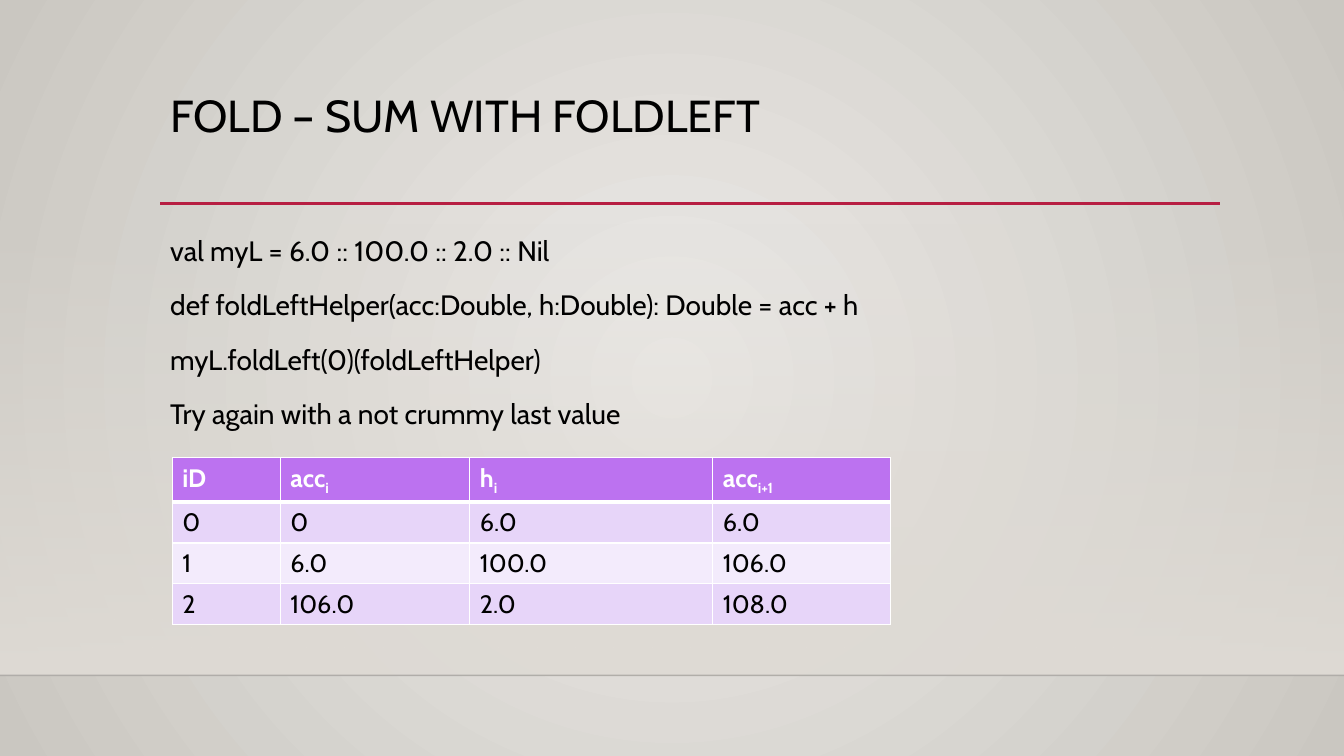
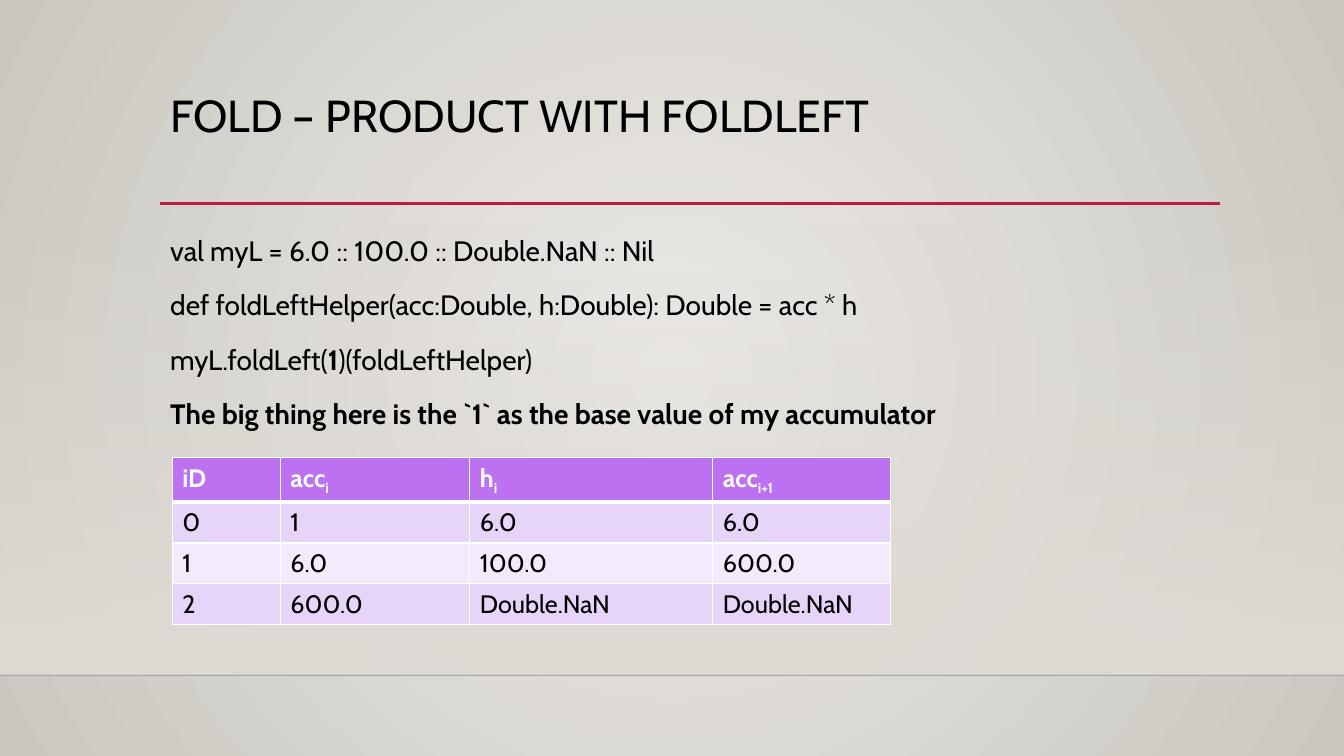
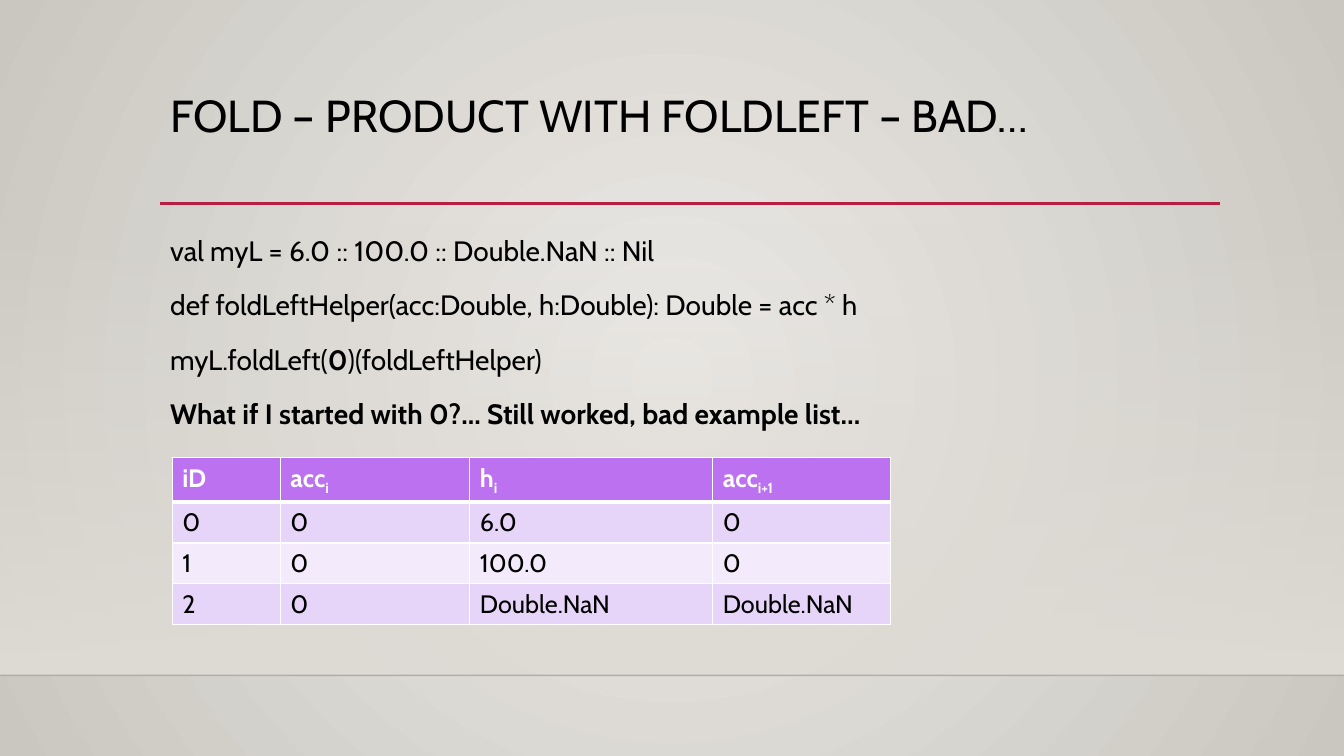
from dataclasses import dataclass

from lxml.etree import SubElement
from pptx import Presentation
from pptx.dml.color import RGBColor
from pptx.enum.shapes import MSO_CONNECTOR, MSO_SHAPE
from pptx.oxml.ns import qn
from pptx.util import Inches, Pt


@dataclass(frozen=True)
class Theme:
    font: str = "Cabin"
    ink: str = "000000"
    white: str = "FFFFFF"
    accent: str = "B71E42"
    edge: str = "000001"
    glow: str = "ECEAE7"
    rim: str = "CAC7C1"
    wall: str = "DFDBD5"
    header: str = "BC72F0"
    bands: tuple = ("E7D5F9", "F3EBFC")
    title: int = 32
    body: int = 20
    cell: int = 18


THEME = Theme()
WIDTH, HEIGHT = 13.33, 7.5
FLOOR = 6.7
LEFT = 1.59
COLS = (1.07, 1.88, 2.41, 1.76)
HEADS = (("iD", ""), ("acc", "i"), ("h", "i"), ("acc", "i+1"))

SLIDES = [
    (
        "FOLD – SUM WITH FOLDLEFT",
        [
            "val myL = 6.0 :: 100.0 :: 2.0 :: Nil",
            "def foldLeftHelper(acc:Double, h:Double): Double = acc + h",
            "myL.foldLeft(0)(foldLeftHelper)",
            "Try again with a not crummy last value",
        ],
        [("0", "0", "6.0", "6.0"),
         ("1", "6.0", "100.0", "106.0"),
         ("2", "106.0", "2.0", "108.0")],
    ),
    (
        "FOLD – PRODUCT WITH FOLDLEFT",
        [
            "val myL = 6.0 :: 100.0 :: Double.NaN :: Nil",
            "def foldLeftHelper(acc:Double, h:Double): Double = acc * h",
            "myL.foldLeft(**1**)(foldLeftHelper)",
            "**The big thing here is the `1` as the base value of my accumulator**",
        ],
        [("0", "1", "6.0", "6.0"),
         ("1", "6.0", "100.0", "600.0"),
         ("2", "600.0", "Double.NaN", "Double.NaN")],
    ),
    (
        "FOLD – PRODUCT WITH FOLDLEFT – BAD…",
        [
            "val myL = 6.0 :: 100.0 :: Double.NaN :: Nil",
            "def foldLeftHelper(acc:Double, h:Double): Double = acc * h",
            "myL.foldLeft(**0**)(foldLeftHelper)",
            "**What if I started with 0?... Still worked, bad example list…**",
        ],
        [("0", "0", "6.0", "0"),
         ("1", "0", "100.0", "0"),
         ("2", "0", "Double.NaN", "Double.NaN")],
    ),
]


def rgb(color):
    return RGBColor.from_string(color)


def fade(color, percent):
    """Set the opacity of a colour element."""
    SubElement(color, qn("a:alpha")).set("val", str(percent * 1000))


def blend(fill, colors):
    """Fill with a gradient running from the first colour to the last."""
    fill.gradient()
    for stop, color in zip(fill.gradient_stops, colors):
        stop.color.rgb = rgb(color)


def add_run(par, text, size, color, bold=False, sub=False):
    run = par.add_run()
    run.text = text
    for key, value in {"name": THEME.font, "size": Pt(size), "bold": bold}.items():
        setattr(run.font, key, value)
    run.font.color.rgb = rgb(color)
    if sub:
        run._r.get_or_add_rPr().set("baseline", "-25000")


def add_text(slide, box, lines, size, form):
    """Add one paragraph per line; text between ** marks is bold."""
    frame = slide.shapes.add_textbox(*map(Inches, box)).text_frame
    frame.word_wrap = True
    for index, line in enumerate(lines):
        par = frame.add_paragraph() if index else frame.paragraphs[0]
        for key, value in form.items():
            setattr(par, key, value)
        for part, text in enumerate(line.split("**")):
            if text:
                add_run(par, text, size, THEME.ink, bold=part % 2 == 1)


def add_line(slide, left, right, top, color, width):
    line = slide.shapes.add_connector(
        MSO_CONNECTOR.STRAIGHT, *map(Inches, (left, top, right, top)))
    line.line.color.rgb = rgb(color)
    line.line.width = Pt(width)
    SubElement(line.element.spPr, qn("a:effectLst"))
    return line


def set_back(master):
    """Give every slide a round gradient that spreads from the centre."""
    blend(master.background.fill, (THEME.glow, THEME.rim))
    grad = master.element.find(".//" + qn("a:gradFill"))
    grad.remove(grad.find(qn("a:lin")))
    ring = SubElement(grad, qn("a:path"), {"path": "circle"})
    SubElement(ring, qn("a:fillToRect"), dict.fromkeys("ltrb", "50000"))


def add_frame(slide):
    """Draw the wall, the floor edge and the title rule."""
    top = 2.21
    wall = slide.shapes.add_shape(
        MSO_SHAPE.RECTANGLE, *map(Inches, (0, top, WIDTH, FLOOR - top)))
    wall.shadow.inherit = False
    wall.line.fill.background()
    blend(wall.fill, (THEME.wall, THEME.wall))
    wall.fill.gradient_angle = 270
    fade(wall.element.find(".//" + qn("a:srgbClr")), 0)
    edge = add_line(slide, 0, WIDTH, FLOOR, THEME.edge, 1)
    fade(edge.element.find(".//" + qn("a:srgbClr")), 20)
    add_line(slide, LEFT, 12.1, 2.02, THEME.accent, 2.5)


def set_edges(cell, widths):
    """Draw white borders; widths are left, right, top, bottom in points."""
    props = cell._tc.get_or_add_tcPr()
    for side, width in zip("LRTB", widths):
        line = SubElement(props, qn("a:ln" + side), {"w": str(Pt(width))})
        fill = SubElement(line, qn("a:solidFill"))
        SubElement(fill, qn("a:srgbClr"), {"val": THEME.white})


def add_grid(slide, rows):
    shape = slide.shapes.add_table(
        len(rows) + 1, len(COLS), *map(Inches, (1.71, 4.54, sum(COLS), 1.62)))
    grid = shape.table
    for col, width in zip(grid.columns, COLS):
        col.width = Inches(width)
    body = [[(text, "") for text in row] for row in rows]
    for r, row in enumerate([HEADS, *body]):
        head = r == 0
        fill = THEME.header if head else THEME.bands[(r - 1) % 2]
        color = THEME.white if head else THEME.ink
        for c, (text, sub) in enumerate(row):
            cell = grid.cell(r, c)
            set_edges(cell, (1, 1, 3 if r == 1 else 1, 3 if head else 1))
            cell.fill.solid()
            cell.fill.fore_color.rgb = rgb(fill)
            par = cell.text_frame.paragraphs[0]
            add_run(par, text, THEME.cell, color, bold=head)
            if sub:
                add_run(par, sub, THEME.cell, color, bold=head, sub=True)


def main():
    deck = Presentation()
    deck.slide_width, deck.slide_height = Inches(WIDTH), Inches(HEIGHT)
    set_back(deck.slide_master)
    for title, lines, rows in SLIDES:
        slide = deck.slides.add_slide(deck.slide_layouts[6])
        add_frame(slide)
        add_text(slide, (LEFT, 0.88, 10.5, 1.15), [title], THEME.title,
                 {"line_spacing": 0.9})
        add_text(slide, (LEFT, 2.2, 11.37, 3.77), lines, THEME.body,
                 {"line_spacing": 1.2, "space_before": Pt(10)})
        add_grid(slide, rows)
    deck.save("out.pptx")


if __name__ == "__main__":
    main()
